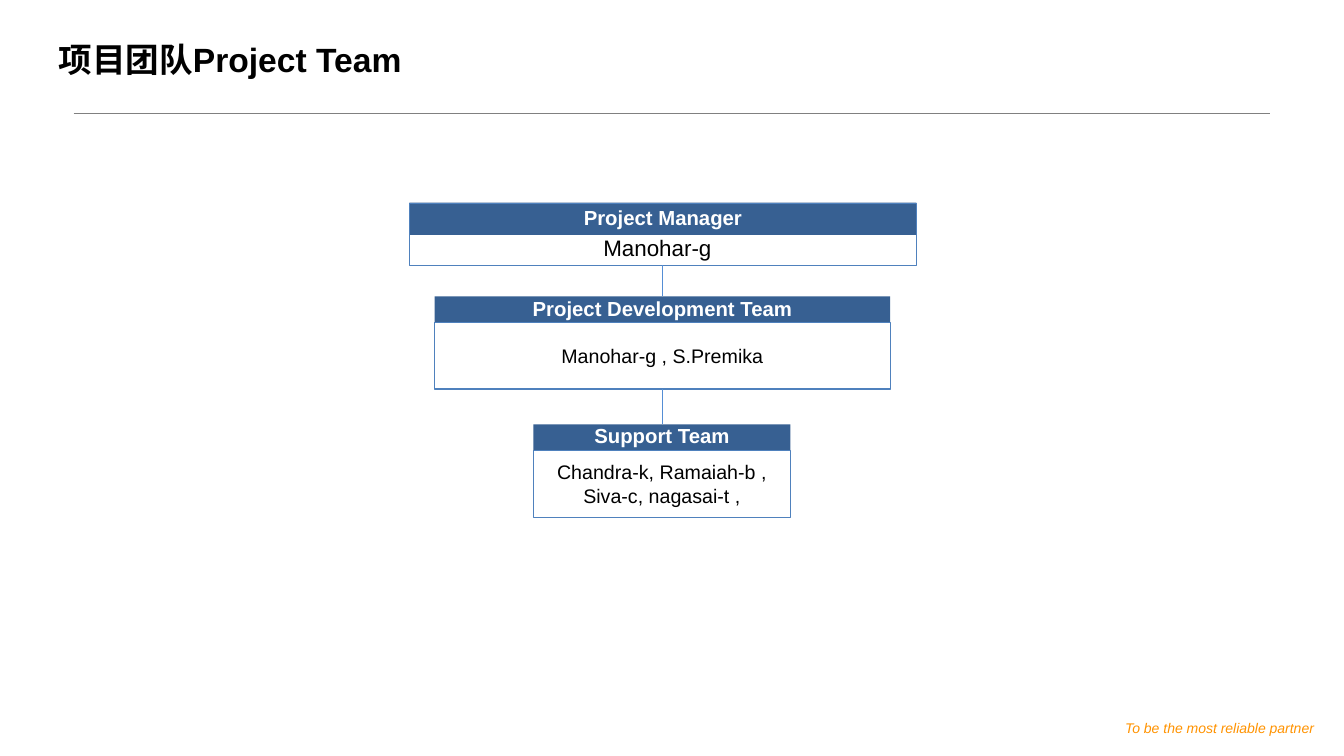
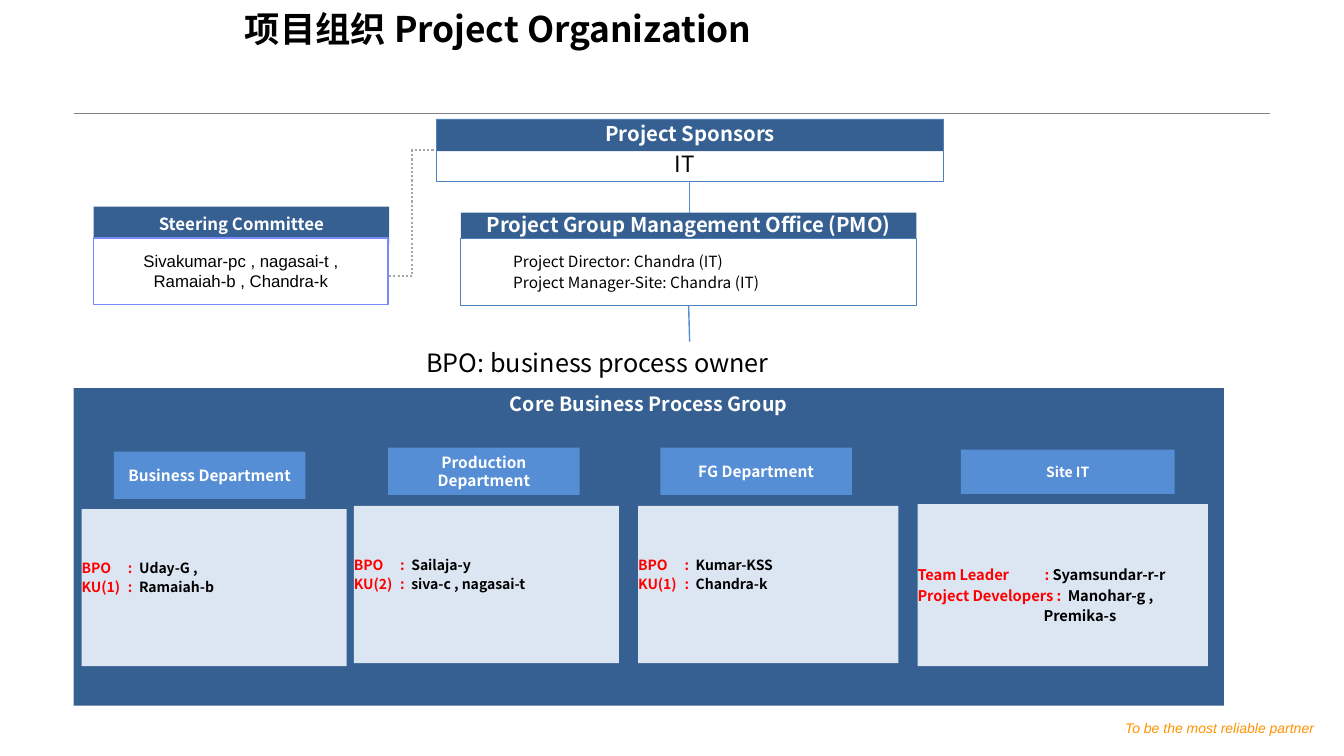
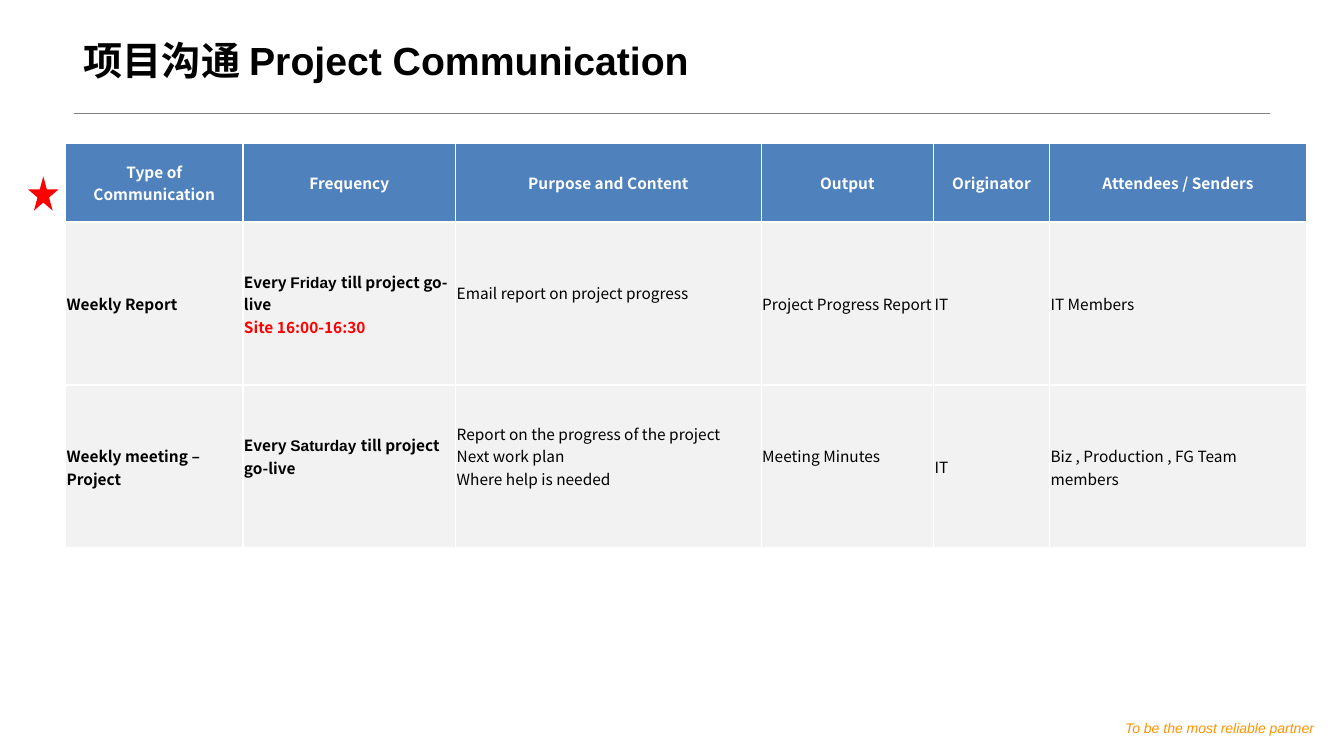
from lxml import etree
from pptx import Presentation
from pptx.dml.color import RGBColor
from pptx.enum import dml, shapes, text
from pptx.oxml.ns import qn
from pptx.util import Inches, Pt

ARIAL, NOTO = "Arial", "Noto Sans CJK SC"
BLACK, WHITE, RED, ORANGE, GREY = "000000", "FFFFFF", "FF0000", "FF9300", "808080"
NAVY, BLUE, SKY, PALE = "376092", "4F81BD", "558ED5", "DCE6F2"
VIOLET, DOTS, CELL = "7889FB", "A6A6A6", "F2F2F2"
LEFT, CENTER = text.PP_ALIGN.LEFT, text.PP_ALIGN.CENTER
TOP, MIDDLE, BOTTOM = (text.MSO_ANCHOR.TOP, text.MSO_ANCHOR.MIDDLE,
                       text.MSO_ANCHOR.BOTTOM)
RECT = shapes.MSO_SHAPE.RECTANGLE
PAD = (0.12, 0.06, 0.12, 0.06)
TIGHT = (0.06, 0.06, 0.06, 0.06)


def rgb(color):
    return RGBColor.from_string(color)


def inches(values):
    return [Inches(v) for v in values]


def set_font(font, name=None, size=None, color=None, bold=None, italic=None):
    if name:
        font.name = name
    if size:
        font.size = Pt(size)
    if color:
        font.color.rgb = rgb(color)
    if bold is not None:
        font.bold = bold
    if italic is not None:
        font.italic = italic


def set_tabs(p, stops):
    tab_list = etree.SubElement(p._p.get_or_add_pPr(), qn("a:tabLst"))
    for stop in stops:
        etree.SubElement(tab_list, qn("a:tab"), pos=str(Inches(stop)), algn="l")


def write(tf, paras, align=CENTER, spacing=None, gap=0, indent=0, tabs=(), **font):
    """Fill tf; a paragraph is a string or a list of (text, font changes)."""
    for i, content in enumerate(paras):
        p = tf.paragraphs[0] if i == 0 else tf.add_paragraph()
        p.alignment = align
        if spacing:
            p.line_spacing = spacing
        if gap and i:
            p.space_before = Pt(gap)
        if indent:
            p._p.get_or_add_pPr().set("marL", str(Inches(indent)))
        if tabs:
            set_tabs(p, tabs[i])
        set_font(p.font, **font)
        runs = [(content, {})] if isinstance(content, str) else content
        for words, changes in runs:
            r = p.add_run()
            r.text = words
            if changes:
                set_font(r.font, **changes)


def frame(tf, inset=PAD, anchor=MIDDLE):
    tf.word_wrap = True
    tf.auto_size = text.MSO_AUTO_SIZE.NONE
    tf.vertical_anchor = anchor
    (tf.margin_left, tf.margin_top,
     tf.margin_right, tf.margin_bottom) = inches(inset)


def box(s, at, paras=(), fill=None, line=None, width=0.75, kind=RECT,
        inset=PAD, anchor=MIDDLE, **style):
    sp = s.shapes.add_shape(kind, *inches(at))
    sp.shadow.inherit = False
    if fill:
        sp.fill.solid()
        sp.fill.fore_color.rgb = rgb(fill)
    else:
        sp.fill.background()
    if line:
        sp.line.color.rgb = rgb(line)
        sp.line.width = Pt(width)
    else:
        sp.line.fill.background()
    if paras:
        frame(sp.text_frame, inset, anchor)
        write(sp.text_frame, paras, **style)
    return sp


def label(s, at, words, inset=PAD, **style):
    sp = s.shapes.add_textbox(*inches(at))
    frame(sp.text_frame, inset, TOP)
    write(sp.text_frame, [words], **style)
    return sp


def connect(s, start, end, color=SKY, width=1.0,
            kind=shapes.MSO_CONNECTOR.STRAIGHT):
    line = s.shapes.add_connector(kind, *inches(start + end))
    line.line.color.rgb = rgb(color)
    line.line.width = Pt(width)
    etree.SubElement(line.element.spPr, qn("a:effectLst"))
    return line


def heading(s, at, words, font, size=14.5):
    box(s, at, [words], fill=NAVY, spacing=0.9,
        name=font, size=size, color=WHITE, bold=True)


def leader(s, left, top, role, person, font):
    """Top box of an organisation chart."""
    label(s, (left + 0.9, top + 0.25, 3.12, 0.3), person,
          name=font, size=16, color=BLACK)
    heading(s, (left, top, 5.03, 0.32), role, font)
    box(s, (left, top + 0.01, 5.03, 0.61), line=BLUE)


def team(s, left, top, width, role, members, font, size, **style):
    heading(s, (left, top, width, 0.26), role, font)
    box(s, (left, top + 0.26, width, 0.66), members, line=BLUE, inset=TIGHT,
        name=font, size=size, color=BLACK, **style)


def department(s, tag, tag_size, panel, name, rows, tabs, size, inset):
    box(s, tag, [name], fill=SKY,
        name=NOTO, size=tag_size, color=WHITE, bold=True)
    lines = [[(role, {"color": RED}), (person, {"color": BLACK})]
             for role, person in rows]
    box(s, panel, lines, fill=PALE, inset=inset, align=LEFT, gap=2, tabs=tabs,
        name=NOTO, size=size, bold=True)


def add_slide(prs, title, at, font, size, indent=0, lift=0.05):
    s = prs.slides.add_slide(prs.slide_layouts.get_by_name("Title Only"))
    sp = s.shapes.title
    sp.left, sp.top, sp.width, sp.height = inches(at)
    frame(sp.text_frame, (0.1, 0.05, 0.1, lift), BOTTOM)
    write(sp.text_frame, [title], align=LEFT, spacing=0.9, indent=indent,
          name=font, size=size, color=BLACK, bold=True)
    props = sp.text_frame.paragraphs[0]._p.pPr.find(qn("a:defRPr"))
    etree.SubElement(props, qn("a:ea"), typeface=NOTO)
    return s


def share_rule_and_motto(s):
    """Draw the rule and motto, then move them to the layout of the slide."""
    rule = connect(s, (0.73, 1.12), (12.6, 1.12), GREY, 0.25)
    motto = label(s, (11.08, 7.07, 2.03, 0.3), "To be the most reliable partner",
                  inset=(0.07,) * 4, name=ARIAL, size=10, color=ORANGE, italic=True)
    motto.text_frame.word_wrap = False
    for number, sp in enumerate((rule, motto), 20):
        sp.element.xpath(".//p:cNvPr")[0].set("id", str(number))
        s.slide_layout.shapes.element.append(sp.element)


def team_slide(prs):
    s = add_slide(prs, "项目团队Project Team", (0.48, 0.13, 11.87, 0.71), ARIAL, 24)
    share_rule_and_motto(s)
    leader(s, 4.06, 2.01, "Project Manager", "Manohar-g", ARIAL)
    team(s, 4.31, 2.94, 4.52, "Project Development Team",
         ["Manohar-g , S.Premika"], ARIAL, 14)
    team(s, 5.29, 4.21, 2.55, "Support Team",
         ["Chandra-k, Ramaiah-b , Siva-c, nagasai-t ,"], ARIAL, 14)
    connect(s, (6.57, 2.63), (6.57, 2.94))
    connect(s, (6.57, 3.86), (6.57, 4.21))


def organization_slide(prs):
    s = add_slide(prs, "项目组织 Project Organization", (0.51, 0, 12.09, 0.92),
                  NOTO, 25.2, indent=1.82, lift=0.42)
    leader(s, 4.33, 1.18, "Project Sponsors", "IT", NOTO)
    team(s, 4.57, 2.11, 4.52, "Project Group Management Office (PMO)",
         ["Project Director: Chandra (IT)", "Project Manager-Site: Chandra (IT)"],
         NOTO, 11, align=LEFT, indent=0.46, gap=1.5)
    connect(s, (6.84, 1.8), (6.84, 2.11))
    connect(s, (6.83, 3.03), (6.84, 3.39))

    heading(s, (0.93, 2.05, 2.93, 0.37), "Steering Committee", NOTO, 12)
    box(s, (0.93, 2.36, 2.92, 0.66),
        ["Sivakumar-pc , nagasai-t ,", "Ramaiah-b , Chandra-k"],
        fill=WHITE, line=VIOLET, width=1, name=ARIAL, size=12, color=BLACK)
    link = connect(s, (3.86, 2.74), (4.32, 1.49), DOTS, 1.5,
                   shapes.MSO_CONNECTOR.ELBOW)
    link.line.dash_style = dml.MSO_LINE.ROUND_DOT

    label(s, (4.13, 3.4, 3.71, 0.4), "BPO: business process owner", align=LEFT,
          inset=(0.1, 0.05, 0.1, 0.05), name=NOTO, size=18, color=BLACK)
    box(s, (0.73, 3.85, 11.41, 3.15), ["Core Business Process Group"], fill=NAVY,
        anchor=TOP, spacing=0.9, name=NOTO, size=14, color=WHITE, bold=True)

    departments = [
        ("Business Department", (1.13, 4.48), (0.81, 5.05, 2.63, 1.56),
         "Uday-G ,", "KU(1)", "Ramaiah-b"),
        ("Production Department", (3.85, 4.44), (3.51, 5.02, 2.63, 1.56),
         "Sailaja-y", "KU(2)", "siva-c , nagasai-t"),
        ("FG Department", (6.55, 4.44), (6.33, 5.02, 2.58, 1.56),
         "Kumar-KSS", "KU(1)", "Chandra-k"),
    ]
    for name, tag, panel, owner, users, people in departments:
        department(s, tag + (1.9, 0.47), 11, panel, name,
                   [("BPO\t:\t", owner), (users + "\t:\t", people)],
                   [(0.46, 0.57)] * 2, 10, (0, 0, 0, 0.2))
    department(s, (9.53, 4.46, 2.12, 0.44), 10, (9.1, 5, 2.88, 1.61), "Site IT",
               [("Team Leader\t: ", "Syamsundar-r-r"),
                ("Project Developers :\t", "Manohar-g ,"),
                ("\t", "Premika-s")],
               [(1.26,), (1.49,), (1.25,)], 10.5, (0, 0.2, 0, 0))


def set_borders(cell, color=WHITE):
    props = cell._tc.get_or_add_tcPr()
    for i, (side, width) in enumerate((("L", 1), ("R", 1), ("T", 1.5), ("B", 1.5))):
        line = etree.Element(qn("a:ln" + side), w=str(Pt(width)))
        fill = etree.SubElement(line, qn("a:solidFill"))
        etree.SubElement(fill, qn("a:srgbClr"), val=color)
        props.insert(i, line)


def every(day):
    return [("Every ", {}), (day + " ", {"name": ARIAL}), ("till project go-live", {})]


def communication_slide(prs):
    s = add_slide(prs, "项目沟通 Project Communication", (0.73, 0, 11.87, 0.88),
                  ARIAL, 28)
    rows = [
        [["Type of Communication"], ["Frequency"], ["Purpose and Content"],
         ["Output"], ["Originator"], ["Attendees / Senders"]],
        [["Weekly Report"],
         [every("Friday"), [("Site 16:00-16:30", {"color": RED})]],
         ["Email report on project progress"], ["Project Progress Report"],
         ["IT"], ["IT Members"]],
        [["Weekly meeting – Project"], [every("Saturday")],
         ["Report on the progress of the project", "Next work plan",
          "Where help is needed"],
         ["Meeting Minutes"], ["IT"], ["Biz , Production , FG Team members"]],
    ]
    raised = {(1, 2), (2, 1), (2, 2), (2, 3)}
    table = s.shapes.add_table(3, 6, *inches((0.65, 1.42, 12.32, 4.01))).table
    table.horz_banding = False
    for column, width in zip(table.columns, (1.76, 2.11, 3.03, 1.71, 1.15, 2.55)):
        column.width = Inches(width)
    for row, height in zip(table.rows, (0.78, 1.62, 1.62)):
        row.height = Inches(height)
    for i, row in enumerate(rows):
        for j, paras in enumerate(row):
            cell = table.cell(i, j)
            cell.fill.solid()
            cell.fill.fore_color.rgb = rgb(CELL if i else BLUE)
            cell.vertical_anchor = MIDDLE
            cell.margin_left = cell.margin_right = cell.margin_top = Inches(0.01)
            cell.margin_bottom = Inches(0.22 if (i, j) in raised else 0)
            set_borders(cell)
            write(cell.text_frame, paras, align=LEFT if i else CENTER,
                  name=NOTO, size=11, color=BLACK if i else WHITE,
                  bold=i == 0 or j < 2)
    box(s, (0.28, 1.75, 0.3, 0.34), fill=RED, kind=shapes.MSO_SHAPE.STAR_5_POINT)


def main():
    prs = Presentation()
    prs.slide_width, prs.slide_height = inches((13.33, 7.5))
    team_slide(prs)
    organization_slide(prs)
    communication_slide(prs)
    prs.save("out.pptx")


if __name__ == "__main__":
    main()
